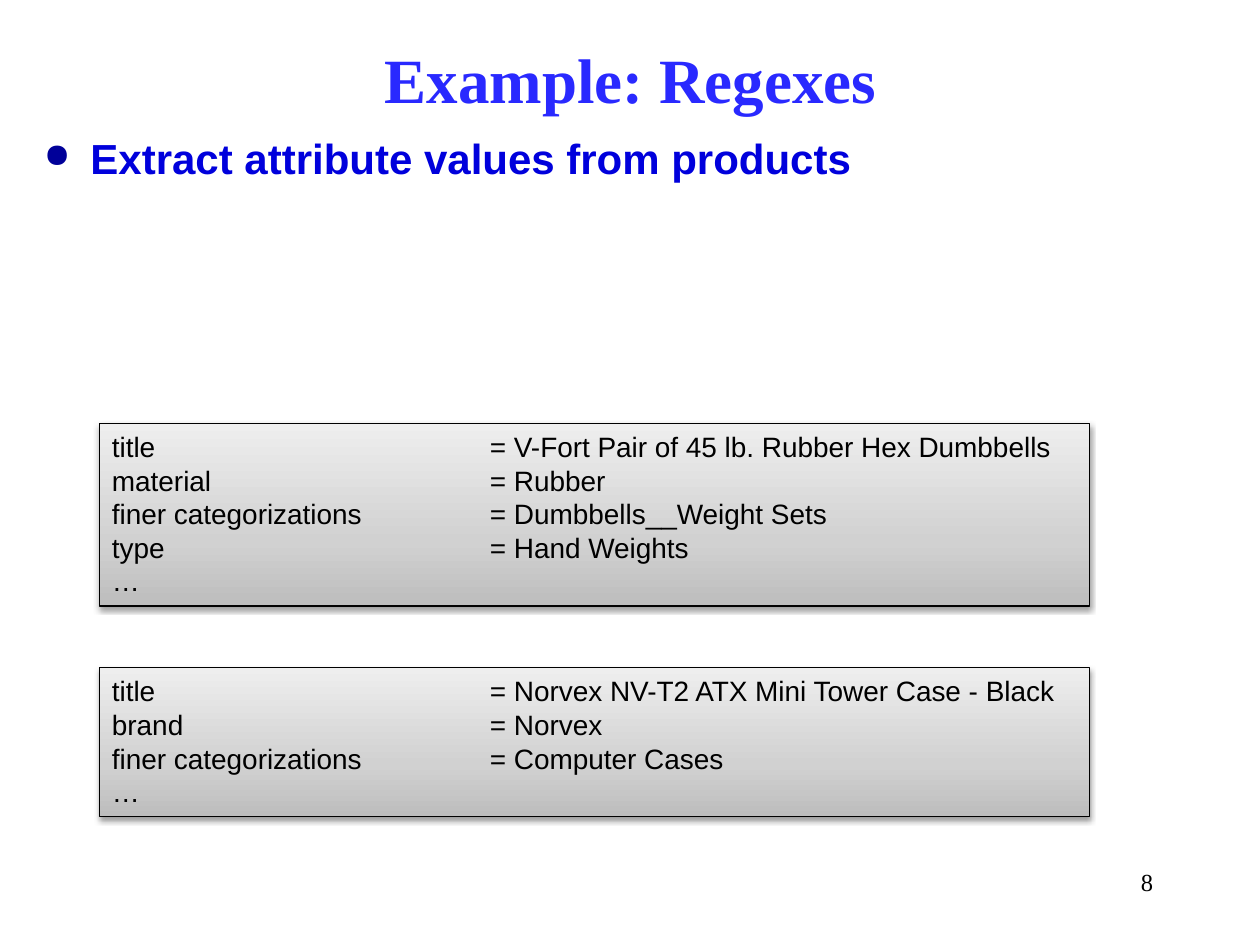
import pptx
import pptx.util
import pptx.dml.color
import pptx.enum.shapes
import pptx.enum.text
import pptx.oxml
import pptx.oxml.ns

Inches = pptx.util.Inches
Pt = pptx.util.Pt
ALIGN = pptx.enum.text.PP_ALIGN
ANCHOR = pptx.enum.text.MSO_ANCHOR
NS = pptx.oxml.ns.nsdecls("a")

HEAD = {"name": "Times New Roman", "size": Pt(36), "bold": True}
POINT = {"name": "Arial", "size": Pt(24), "bold": True}
PAGE = {"name": "Times New Roman", "size": Pt(14)}
CODE = {"name": "Arial", "size": Pt(16)}

STOPS = [(0, "BDBDBD"), (35, "D1D1D1"), (100, "EEEEEE")]

CARDS = [
    ((0.79, 3.36, 7.86, 1.45), [
        ("title", "V-Fort Pair of 45 lb. Rubber Hex Dumbbells"),
        ("material", "Rubber"),
        ("finer categorizations", "Dumbbells__Weight Sets"),
        ("type", "Hand Weights"),
    ]),
    ((0.79, 5.3, 7.86, 1.18), [
        ("title", "Norvex NV-T2 ATX Mini Tower Case - Black"),
        ("brand", "Norvex"),
        ("finer categorizations", "Computer Cases"),
    ]),
]


def color(code):
    return pptx.dml.color.RGBColor.from_string(code)


def node(xml):
    return pptx.oxml.parse_xml(xml)


def write(para, text, style, code, align=ALIGN.LEFT):
    para.alignment = align
    run = para.add_run()
    run.text = text
    for key, value in style.items():
        setattr(run.font, key, value)
    run.font.color.rgb = color(code)


def frame(slide, box):
    """Add a wrapping text box and return its text frame."""
    text = slide.shapes.add_textbox(*map(Inches, box)).text_frame
    text.word_wrap = True
    return text


def title(slide, box):
    text = frame(slide, box)
    text.vertical_anchor = ANCHOR.MIDDLE
    write(text.paragraphs[0], "Example: Regexes", HEAD, "2929FF", ALIGN.CENTER)


def body(slide, box):
    para = frame(slide, box).paragraphs[0]
    write(para, "Extract attribute values from products", POINT, "0000DC")
    para.space_before = Pt(4.8)
    # Hanging round bullet
    props = para._p.get_or_add_pPr()
    props.set("marL", str(Inches(0.37)))
    props.set("indent", str(-Inches(0.37)))
    for xml in (
        f'<a:buClr {NS}><a:srgbClr val="000099"/></a:buClr>',
        f'<a:buSzPct {NS} val="80000"/>',
        f'<a:buChar {NS} char="●"/>',
    ):
        props.append(node(xml))


def number(slide, box):
    write(frame(slide, box).paragraphs[0], "8", PAGE, "000000", ALIGN.RIGHT)


def shade(shape):
    """Give a shape the grey gradient, thin outline and soft shadow."""
    shape.line.color.rgb = color("000000")
    shape.line.width = Pt(0.75)
    shape.shadow.inherit = False
    props = shape._element.spPr
    stops = "".join(
        f'<a:gs pos="{pos * 1000}"><a:srgbClr val="{code}"/></a:gs>'
        for pos, code in STOPS)
    geom = props.find(pptx.oxml.ns.qn("a:prstGeom"))
    geom.addnext(node(
        f'<a:gradFill {NS} rotWithShape="1"><a:gsLst>{stops}</a:gsLst>'
        '<a:lin ang="16200000" scaled="0"/></a:gradFill>'))
    props.find(pptx.oxml.ns.qn("a:effectLst")).append(node(
        f'<a:outerShdw {NS} blurRad="{Pt(3.1)}" dist="{Pt(1.6)}" dir="5400000" '
        'rotWithShape="0"><a:srgbClr val="000000"><a:alpha val="38000"/>'
        '</a:srgbClr></a:outerShdw>'))


def card(slide, box, pairs):
    shape = slide.shapes.add_shape(
        pptx.enum.shapes.MSO_SHAPE.RECTANGLE, *map(Inches, box))
    shade(shape)
    text = shape.text_frame
    text.word_wrap = True
    text.vertical_anchor = ANCHOR.TOP
    lines = [f"{key}\t= {value}" for key, value in pairs] + ["…"]
    for i, line in enumerate(lines):
        para = text.add_paragraph() if i else text.paragraphs[0]
        write(para, line, CODE, "000000")
        # Values line up at one tab stop
        para._p.get_or_add_pPr().append(node(
            f'<a:tabLst {NS}><a:tab pos="{Inches(3)}" algn="l"/></a:tabLst>'))


def main():
    deck = pptx.Presentation()
    deck.slide_width, deck.slide_height = Inches(10), Inches(7.5)
    slide = deck.slides.add_slide(deck.slide_layouts[6])
    title(slide, (0.14, 0.25, 9.73, 0.75))
    body(slide, (0.25, 1, 9.5, 5.64))
    number(slide, (7.17, 6.83, 2.08, 0.5))
    for box, pairs in CARDS:
        card(slide, box, pairs)
    deck.save("out.pptx")


if __name__ == "__main__":
    main()
